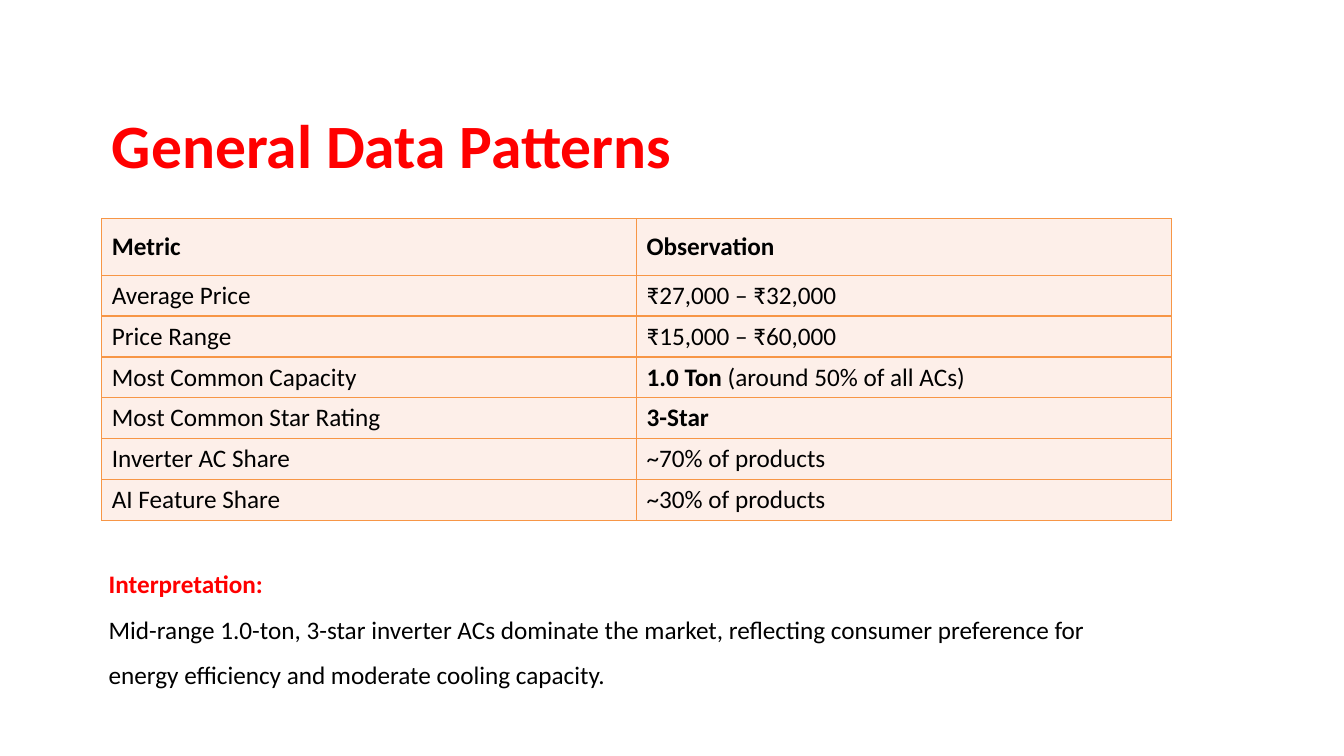
"""Build the slide on general data patterns."""
from lxml.etree import SubElement as Sub
from pptx import Presentation
from pptx.dml.color import RGBColor as RGB
from pptx.enum.text import MSO_ANCHOR as Anchor, MSO_AUTO_SIZE as Auto, PP_ALIGN as Align
from pptx.oxml.ns import qn
from pptx.util import Pt

FONT = "Calibri"
HEX = {"red": "FF0000", "ink": "000000", "fill": "FDEFE9", "rule": "F79646"}

TITLE = "General Data Patterns"
ROWS = [
    [[("Metric", True)], [("Observation", True)]],
    [[("Average Price", False)], [("₹27,000 – ₹32,000", False)]],
    [[("Price Range", False)], [("₹15,000 – ₹60,000", False)]],
    [[("Most Common Capacity", False)],
     [("1.0 Ton", True), (" (around 50% of all ACs)", False)]],
    [[("Most Common Star Rating", False)], [("3-Star", True)]],
    [[("Inverter AC Share", False)], [("~70% of products", False)]],
    [[("AI Feature Share", False)], [("~30% of products", False)]],
]
HEAD = "Interpretation:"
NOTE = ("Mid-range 1.0-ton, 3-star inverter ACs dominate the market, reflecting "
        "consumer preference for energy efficiency and moderate cooling capacity.")

LEFT, WIDE = 72.72, 764
HEAD_H, ROW_H = 40.32, 28.8


def add_run(para, text, size=18, bold=False, hue="ink"):
    """Add one styled run to a paragraph."""
    run = para.add_run()
    run.text = text
    run.font.name, run.font.size, run.font.bold = FONT, Pt(size), bold
    run.font.color.rgb = RGB.from_string(HEX[hue])


def add_rules(cell):
    """Draw the four borders of a cell, ahead of its fill."""
    props = cell._tc.get_or_add_tcPr()
    for side in ("lnL", "lnR", "lnT", "lnB"):
        line = Sub(props, qn(f"a:{side}"), w=str(Pt(1)))
        Sub(Sub(line, qn("a:solidFill")), qn("a:srgbClr"), val=HEX["rule"])


def add_title(slide):
    """Place and fill the title."""
    title = slide.shapes.title
    title.left, title.top, title.width, title.height = map(Pt, (LEFT, 72.72, 480, 60.5))
    frame = title.text_frame
    frame.auto_size, frame.vertical_anchor = Auto.NONE, Anchor.MIDDLE
    para = frame.paragraphs[0]
    para.alignment = Align.LEFT
    add_run(para, TITLE, 44, True, "red")


def add_grid(slide):
    """Add the table of metrics."""
    high = HEAD_H + ROW_H * (len(ROWS) - 1)
    box = map(Pt, (LEFT, 156.24, WIDE, high))
    table = slide.shapes.add_table(len(ROWS), len(ROWS[0]), *box).table
    table.horz_banding = False
    for r, row in enumerate(ROWS):
        table.rows[r].height = Pt(ROW_H if r else HEAD_H)
        for c, runs in enumerate(row):
            cell = table.cell(r, c)
            add_rules(cell)
            cell.fill.solid()
            cell.fill.fore_color.rgb = RGB.from_string(HEX["fill"])
            cell.vertical_anchor = Anchor.MIDDLE
            for text, bold in runs:
                add_run(cell.text_frame.paragraphs[0], text, bold=bold)


def add_note(slide):
    """Add the interpretation below the table."""
    box = map(Pt, (70.56, 391.68, WIDE, 102.24))
    frame = slide.shapes.add_textbox(*box).text_frame
    frame.word_wrap = True
    para = frame.paragraphs[0]
    para.line_spacing = 1.5
    add_run(para, HEAD, bold=True, hue="red")
    para.add_line_break()
    add_run(para, NOTE)


def main():
    """Make and save the deck."""
    deck = Presentation()
    deck.slide_width, deck.slide_height = Pt(960), Pt(540)
    slide = deck.slides.add_slide(deck.slide_layouts[5])
    add_title(slide)
    add_grid(slide)
    add_note(slide)
    deck.save("out.pptx")


if __name__ == "__main__":
    main()
